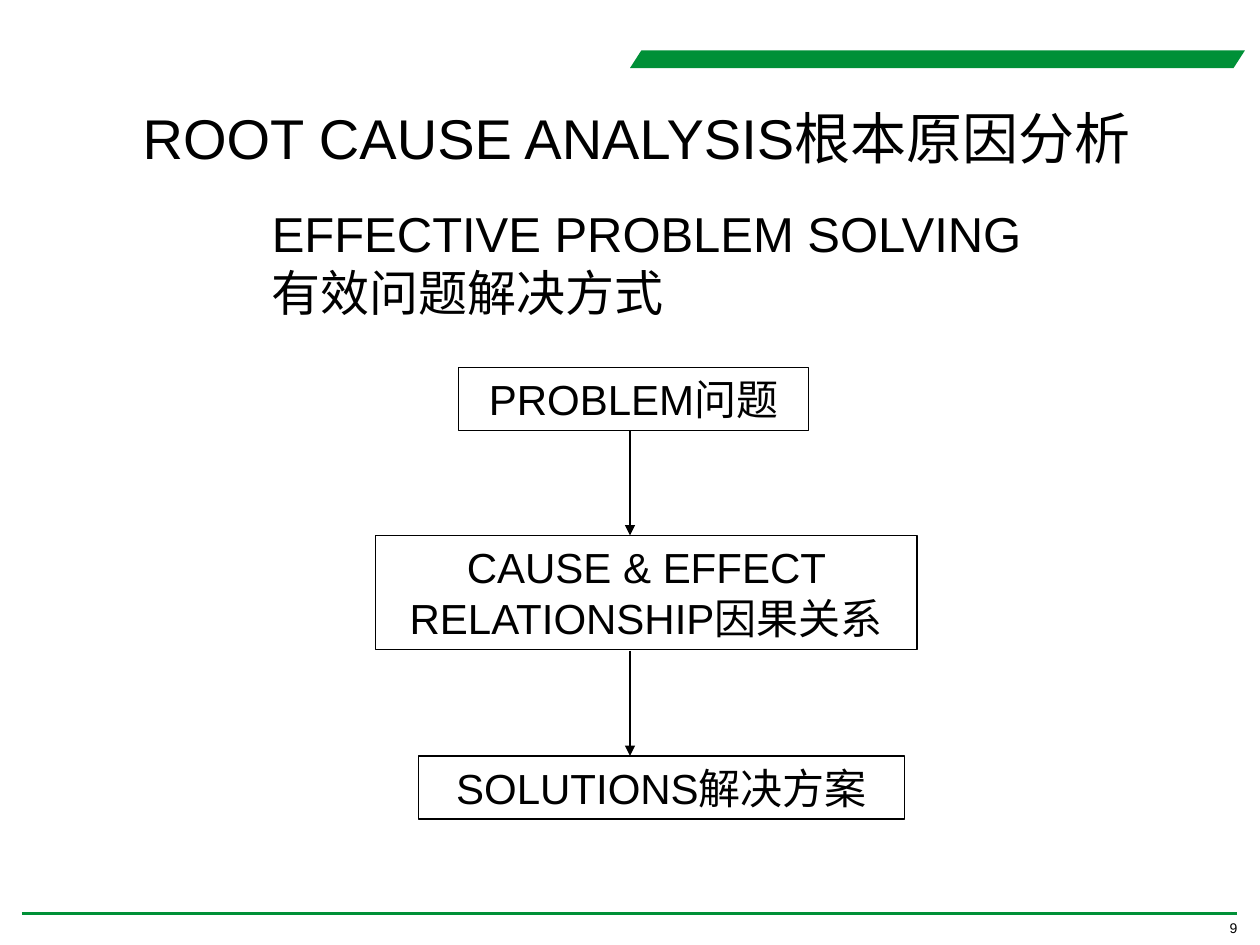
from lxml.etree import SubElement
from pptx import Presentation
from pptx.dml.color import RGBColor
from pptx.enum.shapes import MSO_CONNECTOR as Connector, MSO_SHAPE as Shape
from pptx.enum.text import MSO_ANCHOR as Anchor, MSO_AUTO_SIZE as AutoSize, PP_ALIGN as Align
from pptx.oxml.ns import qn
from pptx.util import Pt

GREEN, BLACK = "009037", "000000"


def color(value):
    return RGBColor.from_string(value)


class SlideBuilder:
    font = "Arial"

    def __init__(self, page):
        self.page = page

    def place(self, shape, left, top, width, height):
        shape.left, shape.top = Pt(left), Pt(top)
        shape.width, shape.height = Pt(width), Pt(height)

    def set_text(self, shape, text, size, align=Align.LEFT, wrap=True):
        frame = shape.text_frame
        frame.text = text
        frame.word_wrap = wrap
        frame.auto_size = AutoSize.NONE
        frame.vertical_anchor = Anchor.TOP
        for para in frame.paragraphs:
            para.alignment = align
            para.font.name = self.font
            para.font.size = Pt(size)
            para.font.color.rgb = color(BLACK)

    def title(self, text, size, *area, indent):
        title = self.page.shapes.title
        self.place(title, *area)
        self.set_text(title, text, size)
        title.text_frame.margin_left = Pt(indent)

    def label(self, text, size, *area, align=Align.LEFT, wrap=True):
        box = self.page.shapes.add_textbox(*map(Pt, area))
        self.set_text(box, text, size, align, wrap)

    def band(self, *area, slant):
        band = self.page.shapes.add_shape(Shape.PARALLELOGRAM, *map(Pt, area))
        band.adjustments[0] = slant
        band.shadow.inherit = False
        band.fill.solid()
        band.fill.fore_color.rgb = color(GREEN)
        band.line.fill.background()

    def step(self, text, *area):
        box = self.page.shapes.add_shape(Shape.RECTANGLE, *map(Pt, area))
        box.shadow.inherit = False
        box.fill.background()
        box.line.color.rgb = color(BLACK)
        box.line.width = Pt(0.75)
        self.set_text(box, text, 24, Align.CENTER)

    def line(self, *ends, stroke=BLACK, weight=0.75, arrow=False):
        line = self.page.shapes.add_connector(Connector.STRAIGHT, *map(Pt, ends))
        line.line.color.rgb = color(stroke)
        line.line.width = Pt(weight)
        properties = line.element.spPr
        if arrow:
            SubElement(properties.find(qn("a:ln")), qn("a:tailEnd"), type="triangle")
        SubElement(properties, qn("a:effectLst"))


def main():
    deck = Presentation()
    deck.slide_width, deck.slide_height = Pt(720), Pt(540)
    slide = SlideBuilder(deck.slides.add_slide(deck.slide_layouts[5]))

    # Page frame
    slide.line(12.5, 522, 707, 522, stroke=GREEN, weight=1.5)
    slide.label("9", 8, 694, 522, 20.2, 16.5, align=Align.RIGHT)
    slide.band(360, 28.8, 351.4, 10.1, slant=0.646)

    # Headings
    slide.title("ROOT CAUSE ANALYSIS根本原因分析", 32, 65.5, 55.4, 630, 46, indent=16)
    slide.label("EFFECTIVE PROBLEM SOLVING\n有效问题解决方式", 28,
                148.3, 113, 444.2, 75, wrap=False)

    # Steps from problem to solutions: text, left, top, width, height
    steps = [
        ("PROBLEM问题", 262, 210, 200, 36),
        ("CAUSE & EFFECT RELATIONSHIP因果关系", 214.5, 306, 309.5, 65),
        ("SOLUTIONS解决方案", 239, 432, 278, 36),
    ]
    for step in steps:
        slide.step(*step)

    # Arrows of equal length, each ending on the next step
    for _, _, top, _, _ in steps[1:]:
        slide.line(360, top - 60, 360, top, arrow=True)

    deck.save("out.pptx")


if __name__ == "__main__":
    main()
